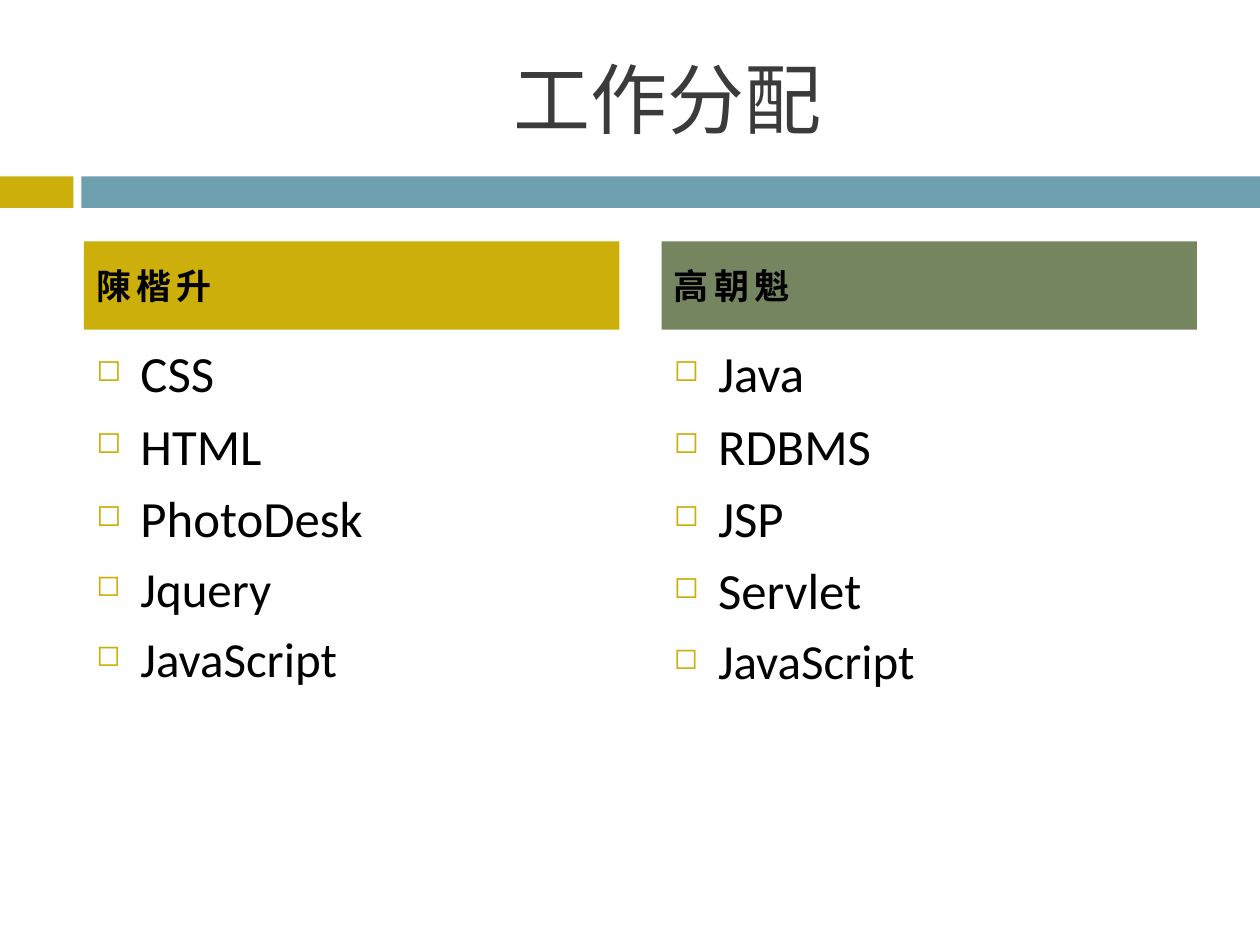
import pptx
import pptx.util
import pptx.dml.color
import pptx.enum.shapes
import pptx.enum.text
import pptx.oxml
import pptx.oxml.ns

Pt = pptx.util.Pt
COLORS = {
    "gold": "CCAF0A",
    "blue": "6EA0B0",
    "green": "748560",
    "title": "3B3B3B",
    "text": "000000",
}


class SlideBuilder:
    """Hold the style and the current slide, and add its elements."""

    font = "Calibri"
    spacing = 6.4
    indent = 25.2

    def __init__(self, slide):
        self.slide = slide

    def color(self, name):
        return pptx.dml.color.RGBColor.from_string(COLORS[name])

    def bar(self, left, top, width, height, fill):
        shape = self.slide.shapes.add_shape(
            pptx.enum.shapes.MSO_SHAPE.RECTANGLE,
            Pt(left), Pt(top), Pt(width), Pt(height))
        shape.shadow.inherit = False
        shape.fill.solid()
        shape.fill.fore_color.rgb = self.color(fill)
        shape.line.fill.background()
        return shape

    def box(self, left, top, width, height):
        shape = self.slide.shapes.add_textbox(
            Pt(left), Pt(top), Pt(width), Pt(height))
        shape.text_frame.word_wrap = True
        return shape

    def run(self, paragraph, text, size, color="text"):
        paragraph.alignment = pptx.enum.text.PP_ALIGN.LEFT
        run = paragraph.add_run()
        run.text = text
        run.font.name = self.font
        run.font.size = Pt(size)
        run.font.color.rgb = self.color(color)
        return run

    def title(self, text, left, top, width, height):
        frame = self.box(left, top, width, height).text_frame
        frame.vertical_anchor = pptx.enum.text.MSO_ANCHOR.MIDDLE
        self.run(frame.paragraphs[0], text, 44, "title")

    def header(self, text, left, top, width, height, fill):
        frame = self.bar(left, top, width, height, fill).text_frame
        frame.vertical_anchor = pptx.enum.text.MSO_ANCHOR.MIDDLE
        run = self.run(frame.paragraphs[0], text, 20)
        run.font.bold = True
        run.font._element.set("spc", "300")

    def bullet(self, paragraph):
        properties = paragraph._p.get_or_add_pPr()
        properties.set("marL", str(Pt(self.indent)))
        properties.set("indent", str(-Pt(self.indent)))
        namespace = pptx.oxml.ns.nsdecls("a")
        for xml in (
            f'<a:buClr {namespace}><a:srgbClr val="{COLORS["gold"]}"/></a:buClr>',
            f'<a:buSzPct {namespace} val="60000"/>',
            f'<a:buChar {namespace} char="◻"/>',
        ):
            properties.append(pptx.oxml.parse_xml(xml))

    def bullets(self, items, left, top, width, height):
        frame = self.box(left, top, width, height).text_frame
        for index, (text, size) in enumerate(items):
            paragraph = frame.add_paragraph() if index else frame.paragraphs[0]
            paragraph.space_before = Pt(self.spacing)
            self.bullet(paragraph)
            self.run(paragraph, text, size)


def main():
    presentation = pptx.Presentation()
    presentation.slide_width = Pt(720)
    presentation.slide_height = Pt(540)
    slide = presentation.slides.add_slide(presentation.slide_layouts[6])
    builder = SlideBuilder(slide)

    builder.bar(0, 100.8, 42, 18, "gold")
    builder.bar(46.5, 100.8, 673.5, 18, "blue")
    builder.title("工作分配", 286.5, 21.6, 397.5, 68.4)

    columns = [
        ("陳楷升", "gold", [("CSS", 29), ("HTML", 29), ("PhotoDesk", 29),
                         ("Jquery", 28), ("JavaScript", 28)]),
        ("高朝魁", "green", [("Java", 29), ("RDBMS", 29), ("JSP", 29),
                          ("Servlet", 29), ("JavaScript", 28)]),
    ]
    for index, (name, fill, items) in enumerate(columns):
        left = 48 + index * 330
        builder.bullets(items, left, 192, 306, 282)
        builder.header(name, left, 138, 306, 50.4, fill)

    presentation.save("out.pptx")


if __name__ == "__main__":
    main()
